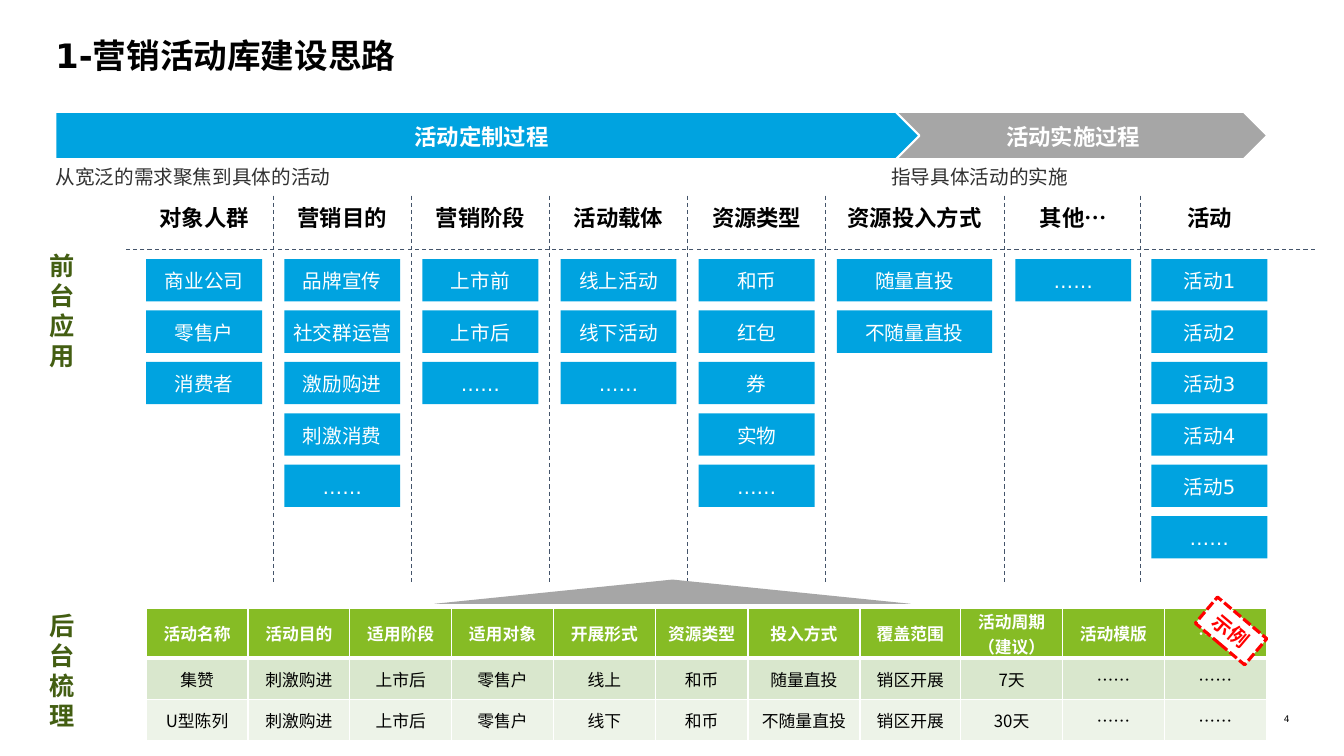
from dataclasses import dataclass

from lxml.etree import SubElement
from pptx import Presentation
from pptx.dml.color import RGBColor
from pptx.enum.dml import MSO_LINE
from pptx.enum.shapes import MSO_CONNECTOR, MSO_SHAPE
from pptx.enum.text import MSO_ANCHOR as Anchor, PP_ALIGN as Align
from pptx.oxml.ns import qn
from pptx.util import Inches, Pt

COLORS = {
    "blue": "00A3E0", "gray": "A6A6A6", "white": "FFFFFF", "black": "000000",
    "note": "313131", "divider": "44546A", "side": "435E12", "red": "FF0000",
    "header": "86BC25", "odd_row": "D9E7CD", "even_row": "EDF3E8",
}
LATIN, CJK = "DejaVu Sans", "Noto Sans CJK SC"
BOX_HEIGHT, BOX_TOP, BOX_PITCH = 0.42, 2.57, 0.51
HEADING_TOP, DIVIDER_BOTTOM, HALF_GAP = 1.94, 5.79, 0.11


@dataclass
class Column:
    heading: str
    left: float
    width: float
    items: list[str]


@dataclass
class Style:
    size: float
    color: str
    bold: bool = False
    align: Align = Align.CENTER
    anchor: Anchor = Anchor.MIDDLE
    inset_x: float = 0
    inset_y: float = 0
    line_spacing: float | None = None
    space_before: float | None = None
    wrap: bool = True
    font: str = LATIN


@dataclass
class Label:
    text: str
    box: tuple[float, float, float, float]
    style: Style


@dataclass
class Stage:
    text: str
    left: float
    width: float
    color: str


TITLE = Style(24, "black", True, Align.LEFT, Anchor.TOP)
STAGE = Style(16, "white", True, inset_x=0.1, inset_y=0.1, line_spacing=1.06)
HEADING = Style(16, "black", True, inset_y=0.1, line_spacing=1.06)
ITEM = Style(14, "white", inset_y=0.1, line_spacing=1.06)
NOTE = Style(14, "note", align=Align.LEFT, anchor=Anchor.TOP, space_before=6, wrap=False)
SIDE = Style(18, "side", True, anchor=Anchor.TOP, space_before=6)
PAGE = Style(6.5, "black", align=Align.RIGHT, anchor=Anchor.TOP, space_before=6)
STAMP = Style(14, "red", True, inset_x=0.1, inset_y=0.05, font=CJK)

STAGES = [
    Stage("活动实施过程", 8.84, 3.73, "gray"),
    Stage("活动定制过程", 0.55, 8.57, "blue"),
]
LABELS = [
    Label("从宽泛的需求聚焦到具体的活动", (0.55, 1.64, 2.75, 0.24), NOTE),
    Label("指导具体活动的实施", (8.84, 1.64, 1.77, 0.24), NOTE),
    Label("前台应用", (0.49, 2.48, 0.22, 1.21), SIDE),
    Label("后台梳理", (0.49, 6.05, 0.22, 1.21), SIDE),
    Label("4", (12.45, 7.08, 0.34, 0.11), PAGE),
]
COLUMNS = [
    Column("对象人群", 1.45, 1.15, ["商业公司", "零售户", "消费者"]),
    Column("营销目的", 2.82, 1.15, ["品牌宣传", "社交群运营", "激励购进", "刺激消费", "……"]),
    Column("营销阶段", 4.19, 1.15, ["上市前", "上市后", "……"]),
    Column("活动载体", 5.56, 1.15, ["线上活动", "线下活动", "……"]),
    Column("资源类型", 6.93, 1.15, ["和币", "红包", "券", "实物", "……"]),
    Column("资源投入方式", 8.3, 1.54, ["随量直投", "不随量直投"]),
    Column("其他…", 10.07, 1.15, ["……"]),
    Column("活动", 11.42, 1.15, ["活动1", "活动2", "活动3", "活动4", "活动5", "……"]),
]
TABLE_ROWS = [
    ["活动名称", "活动目的", "适用阶段", "适用对象", "开展形式", "资源类型",
     "投入方式", "覆盖范围", "活动周期（建议）", "活动模版", "……"],
    ["集赞", "刺激购进", "上市后", "零售户", "线上", "和币",
     "随量直投", "销区开展", "7天", "……", "……"],
    ["U型陈列", "刺激购进", "上市后", "零售户", "线下", "和币",
     "不随量直投", "销区开展", "30天", "……", "……"],
]
TABLE_WIDTHS = [1.01] * 5 + [0.92, 1.11, 1] + [1.01] * 3
TABLE_FILLS = ["header", "odd_row", "even_row"]


def rgb(name: str) -> RGBColor:
    return RGBColor.from_string(COLORS[name])


def set_paragraph(paragraph, style: Style) -> None:
    paragraph.alignment = style.align
    if style.line_spacing:
        paragraph.line_spacing = style.line_spacing
    if style.space_before:
        paragraph.space_before = Pt(style.space_before)
    font = paragraph.font
    font.name, font.size, font.bold = style.font, Pt(style.size), style.bold
    font.color.rgb = rgb(style.color)


def set_text(shape, text: str, style: Style) -> None:
    frame = shape.text_frame
    frame.text = text
    frame.word_wrap = style.wrap
    frame.vertical_anchor = style.anchor
    frame.margin_left = frame.margin_right = Inches(style.inset_x)
    frame.margin_top = frame.margin_bottom = Inches(style.inset_y)
    set_paragraph(frame.paragraphs[0], style)


def add_label(slide, label: Label) -> None:
    set_text(slide.shapes.add_textbox(*map(Inches, label.box)), label.text, label.style)


def add_block(slide, kind: MSO_SHAPE, box: tuple, fill: str,
              line: str | None = None, line_width: float = 0):
    block = slide.shapes.add_shape(kind, *map(Inches, box))
    block.shadow.inherit = False
    block.fill.solid()
    block.fill.fore_color.rgb = rgb(fill)
    if line:
        block.line.color.rgb = rgb(line)
        block.line.width = Pt(line_width)
    else:
        block.line.fill.background()
    return block


def add_divider(slide, x1: float, y1: float, x2: float, y2: float) -> None:
    divider = slide.shapes.add_connector(MSO_CONNECTOR.STRAIGHT, *map(Inches, (x1, y1, x2, y2)))
    divider.line.color.rgb = rgb("divider")
    divider.line.width = Pt(0.75)
    divider.line.dash_style = MSO_LINE.DASH
    SubElement(divider._element.spPr, qn("a:effectLst"))


def add_column(slide, column: Column) -> None:
    add_label(slide, Label(column.heading,
                           (column.left, HEADING_TOP, column.width, BOX_HEIGHT), HEADING))
    for i, item in enumerate(column.items):
        box = (column.left, BOX_TOP + i * BOX_PITCH, column.width, BOX_HEIGHT)
        set_text(add_block(slide, MSO_SHAPE.RECTANGLE, box, "blue"), item, ITEM)


def set_borders(cell, bottom: float) -> None:
    """Draw white borders, one point wide except at the bottom."""
    properties = cell._tc.get_or_add_tcPr()
    for i, (side, width) in enumerate({"L": 1, "R": 1, "T": 1, "B": bottom}.items()):
        border = properties.makeelement(qn(f"a:ln{side}"), {"w": str(Pt(width))})
        fill = SubElement(border, qn("a:solidFill"))
        SubElement(fill, qn("a:srgbClr"), val=COLORS["white"])
        properties.insert(i, border)


def add_activity_table(slide) -> None:
    frame = slide.shapes.add_table(len(TABLE_ROWS), len(TABLE_WIDTHS), Inches(1.45),
                                   Inches(6.04), Inches(11.11), Inches(1.31))
    table = frame.table
    for column, width in zip(table.columns, TABLE_WIDTHS):
        column.width = Inches(width)
    for r, texts in enumerate(TABLE_ROWS):
        table.rows[r].height = Inches(0.41 if r else 0.49)
        style = Style(12, "black" if r else "white", not r, font=CJK)
        for c, text in enumerate(texts):
            cell = table.cell(r, c)
            cell.text = text
            cell.vertical_anchor = Anchor.MIDDLE
            cell.margin_top = cell.margin_bottom = 0
            cell.fill.solid()
            cell.fill.fore_color.rgb = rgb(TABLE_FILLS[r])
            set_paragraph(cell.text_frame.paragraphs[0], style)
            set_borders(cell, 1 if r else 3)


def main() -> None:
    prs = Presentation()
    prs.slide_width, prs.slide_height = Inches(13.33), Inches(7.5)
    slide = prs.slides.add_slide(prs.slide_layouts[5])

    title = slide.shapes.title
    title.left, title.top, title.width, title.height = map(Inches, (0.55, 0.35, 12.24, 0.76))
    set_text(title, "1-营销活动库建设思路", TITLE)

    for stage in STAGES:
        arrow = add_block(slide, MSO_SHAPE.PENTAGON, (stage.left, 1.11, stage.width, 0.47),
                          stage.color, "white", 1.5)
        set_text(arrow, stage.text, STAGE)
    for label in LABELS:
        add_label(slide, label)
    for column in COLUMNS:
        add_column(slide, column)
    for column in COLUMNS[1:]:
        x = column.left - HALF_GAP
        add_divider(slide, x, HEADING_TOP, x, DIVIDER_BOTTOM)
    add_divider(slide, 13.04, 2.48, 1.23, 2.48)

    add_activity_table(slide)
    add_block(slide, MSO_SHAPE.ISOSCELES_TRIANGLE, (4.31, 5.75, 4.72, 0.24), "gray")
    stamp = add_block(slide, MSO_SHAPE.RECTANGLE, (11.89, 6.09, 0.64, 0.34), "white", "red", 2.25)
    stamp.line.dash_style = MSO_LINE.SQUARE_DOT
    stamp.rotation = 40.2
    set_text(stamp, "示例", STAMP)

    prs.save("out.pptx")


if __name__ == "__main__":
    main()
